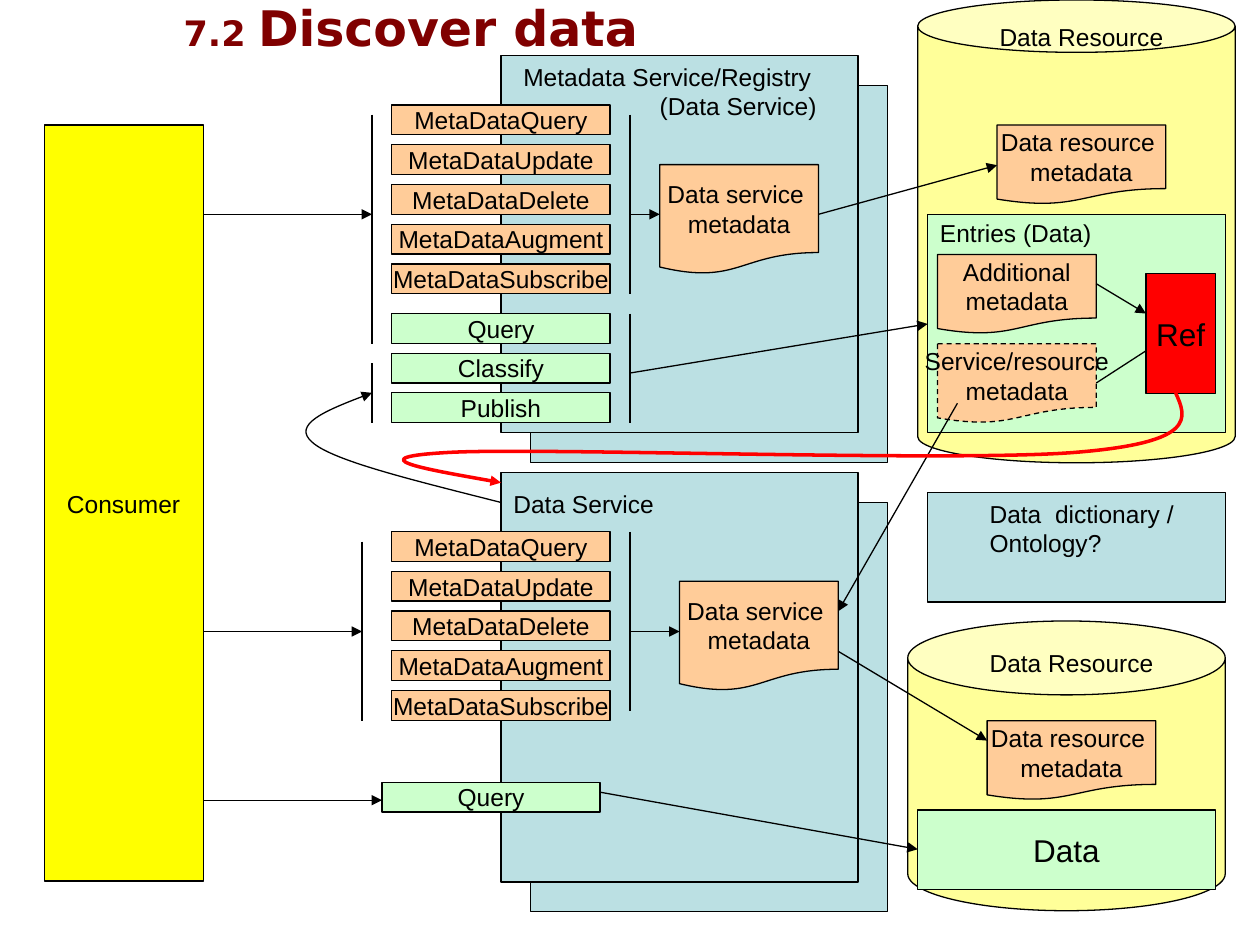
from dataclasses import dataclass

from lxml import etree
from pptx import Presentation
from pptx import util as u
from pptx.dml.color import RGBColor
from pptx.enum import dml, shapes, text
from pptx.oxml.ns import qn

COLOURS = {
    "black": "000000", "title": "800000", "red": "FF0000", "yellow": "FFFF00",
    "resource": "FFFF99", "service": "BBE0E3", "metadata": "FFCC99", "data": "CCFFCC",
}
RECT = shapes.MSO_SHAPE.RECTANGLE
CAN = shapes.MSO_SHAPE.CAN
DOCUMENT = shapes.MSO_SHAPE.FLOWCHART_DOCUMENT
Point = tuple[float, float]


@dataclass
class Block:
    """A filled shape, measured in centimetres."""
    left: float
    top: float
    width: float
    height: float
    fill: str
    words: str = ""
    kind: int = RECT
    size: int = 14
    dashed: bool = False
    lid: float | None = None


@dataclass
class Label:
    left: float
    top: float
    width: float
    height: float
    words: str
    last_indent: float = 0


@dataclass
class Line:
    start: Point
    end: Point
    arrow: bool = True


def colour(name: str) -> RGBColor:
    return RGBColor.from_string(COLOURS[name])


def write(box, words: str, size: int, align: int) -> None:
    frame = box.text_frame
    frame.text = words
    for para in frame.paragraphs:
        para.alignment = align
        for span in para.runs:
            span.font.name = "Arial"
            span.font.size = u.Pt(size)
            span.font.color.rgb = colour("black")


def style_line(item, name: str = "black", width: float = 0.75, arrow: bool = False) -> None:
    item.line.color.rgb = colour(name)
    item.line.width = u.Pt(width)
    if arrow:
        outline = item._element.spPr.find(qn("a:ln"))
        etree.SubElement(outline, qn("a:tailEnd"), type="triangle")


def draw_block(page, block: Block) -> None:
    box = page.shapes.add_shape(block.kind, u.Cm(block.left), u.Cm(block.top),
                                u.Cm(block.width), u.Cm(block.height))
    box.shadow.inherit = False
    box.fill.solid()
    box.fill.fore_color.rgb = colour(block.fill)
    style_line(box)
    if block.dashed:
        box.line.dash_style = dml.MSO_LINE.DASH
    if block.lid is not None:
        box.adjustments[0] = block.lid
    if block.words:
        box.text_frame.word_wrap = False
        box.text_frame.vertical_anchor = text.MSO_ANCHOR.MIDDLE
        write(box, block.words, block.size, text.PP_ALIGN.CENTER)


def draw_label(page, label: Label) -> None:
    box = page.shapes.add_textbox(u.Cm(label.left), u.Cm(label.top),
                                  u.Cm(label.width), u.Cm(label.height))
    box.text_frame.word_wrap = True
    write(box, label.words, 14, text.PP_ALIGN.LEFT)
    if label.last_indent:
        para = box.text_frame.paragraphs[-1]
        para._p.get_or_add_pPr().set("marL", str(u.Cm(label.last_indent)))


def draw_line(page, line: Line) -> None:
    ends = [u.Cm(value) for value in (*line.start, *line.end)]
    connector = page.shapes.add_connector(shapes.MSO_CONNECTOR.STRAIGHT, *ends)
    style_line(connector, arrow=line.arrow)
    etree.SubElement(connector._element.spPr, qn("a:effectLst"))


def draw_curve(page, points: list[Point], name: str, width: float) -> None:
    """Draw an arrow of Bezier pieces: a start, then three points for each piece."""
    start, *rest = [(u.Cm(x), u.Cm(y)) for x, y in points]
    builder = page.shapes.build_freeform(*start)
    builder.add_line_segments(rest, close=False)
    curve = builder.convert_to_shape()
    curve.shadow.inherit = False
    curve.fill.background()
    style_line(curve, name, width, arrow=True)
    outline = curve._element.find(".//" + qn("a:path"))
    steps = outline.findall(qn("a:lnTo"))
    for first in range(0, len(steps), 3):
        piece = etree.SubElement(outline, qn("a:cubicBezTo"))
        for step in steps[first:first + 3]:
            piece.append(step[0])
            outline.remove(step)


def draw_title(page) -> None:
    title = page.shapes.title
    title.left, title.top = u.Cm(-3.15), u.Cm(-1.04)
    title.width, title.height = u.Cm(22.86), u.Cm(3.18)
    title.text_frame.vertical_anchor = text.MSO_ANCHOR.MIDDLE
    para = title.text_frame.paragraphs[0]
    para.alignment = text.PP_ALIGN.CENTER
    for words, size in (("7.2 ", 20), ("Discover data", 28)):
        span = para.add_run()
        span.text = words
        span.font.name = "DejaVu Sans"
        span.font.size = u.Pt(size)
        span.font.bold = True
        span.font.color.rgb = colour("title")


def operations(top: float, fill: str, names: list[str]) -> list[Block]:
    return [Block(7.9, top + 0.8 * row, 4.4, 0.6, fill, name) for row, name in enumerate(names)]


METADATA_OPERATIONS = ["MetaData" + verb
                       for verb in ("Query", "Update", "Delete", "Augment", "Subscribe")]
SERVICE_METADATA = "Data service \nmetadata"
RESOURCE_METADATA = "Data resource \nmetadata"

BLOCKS = [
    Block(18.5, 0, 6.4, 9.33, "resource", kind=CAN, lid=0.165),
    Block(18.3, 12.52, 6.4, 5.84, "resource", kind=CAN, lid=0.255),
    *[Block(10.1 + shift, top + shift, 7.2, height, "service")
      for top, height in ((1.12, 7.6), (9.53, 8.25)) for shift in (0.6, 0)],
    Block(0.9, 2.52, 3.2, 15.24, "yellow"),
    Block(18.7, 9.93, 6, 2.21, "service"),
    Block(18.7, 4.32, 6, 4.4, "data"),
    Block(18.5, 16.33, 6, 1.6, "data", "Data", size=18),
    *operations(2.12, "metadata", METADATA_OPERATIONS),
    *operations(6.32, "data", ["Query", "Classify", "Publish"]),
    *operations(10.72, "metadata", METADATA_OPERATIONS),
    Block(7.7, 15.77, 4.4, 0.6, "data", "Query"),
    Block(13.3, 3.32, 3.2, 2.21, "metadata", SERVICE_METADATA, DOCUMENT),
    Block(13.7, 11.72, 3.2, 2.21, "metadata", SERVICE_METADATA, DOCUMENT),
    Block(20.1, 2.52, 3.4, 1.6, "metadata", RESOURCE_METADATA, DOCUMENT),
    Block(19.9, 14.53, 3.4, 1.6, "metadata", RESOURCE_METADATA, DOCUMENT),
    Block(18.9, 5.13, 3.2, 1.6, "metadata", "Additional\nmetadata", DOCUMENT),
    Block(18.9, 6.93, 3.2, 1.6, "metadata", "Service/resource\nmetadata", DOCUMENT, dashed=True),
]
REFERENCE = Block(23.1, 5.52, 1.4, 2.41, "red", "Ref", size=18)
LABELS = [
    Label(10.3, 1.12, 7.39, 1.45, "Metadata Service/Registry\n(Data Service)", last_indent=2.75),
    Label(10.1, 9.73, 4, 0.86, "Data Service"),
    Label(1.1, 9.73, 3, 0.86, "Consumer"),
    Label(19.9, 0.32, 4.4, 0.86, "Data Resource"),
    Label(19.7, 12.93, 4.4, 0.86, "Data Resource"),
    Label(18.7, 4.28, 4.2, 0.86, "Entries (Data)"),
    Label(19.7, 9.93, 4.8, 1.45, "Data  dictionary /\nOntology?"),
]
BRACKETS = [(7.5, 2.31, 6.93), (7.5, 7.32, 8.53), (7.3, 10.92, 14.53),
            (12.7, 2.31, 5.92), (12.7, 6.32, 8.53), (12.7, 10.72, 14.33)]
LINES = [
    *[Line((x, top), (x, bottom), arrow=False) for x, top, bottom in BRACKETS],
    Line((4.1, 4.32), (7.5, 4.32)),
    Line((4.1, 12.73), (7.3, 12.73)),
    Line((4.1, 16.13), (7.7, 16.13)),
    Line((12.7, 4.32), (13.3, 4.32)),
    Line((12.7, 12.73), (13.7, 12.73)),
    Line((16.5, 4.32), (20.1, 3.33)),
    Line((12.7, 7.52), (18.7, 6.53)),
    Line((16.9, 13.13), (19.9, 14.93)),
    Line((12.1, 15.97), (18.5, 17.12)),
    Line((22.1, 5.72), (23.1, 6.32)),
    Line((22.1, 7.72), (23.32, 6.93)),
    Line((19.3, 8.13), (16.9, 12.32)),
]
PUBLISHING = [(10.1, 10.13), (8.41, 9.7), (6.73, 9.3), (6.3, 8.92),
              (5.87, 8.56), (6.68, 8.23), (7.5, 7.92)]
REFERRING = [(23.7, 7.92), (23.93, 8.43), (24.13, 8.92), (21.69, 9.12),
             (19.25, 9.32), (11.02, 9.02), (9.09, 9.12),
             (7.16, 9.22), (8.64, 9.47), (10.1, 9.73)]


def main() -> None:
    deck = Presentation()
    deck.slide_width, deck.slide_height = u.Cm(25.4), u.Cm(19.05)
    page = deck.slides.add_slide(deck.slide_layouts[5])
    for block in BLOCKS:
        draw_block(page, block)
    for line in LINES:
        draw_line(page, line)
    draw_block(page, REFERENCE)
    for label in LABELS:
        draw_label(page, label)
    draw_title(page)
    draw_curve(page, PUBLISHING, "black", 0.75)
    draw_curve(page, REFERRING, "red", 2)
    deck.save("out.pptx")


if __name__ == "__main__":
    main()
